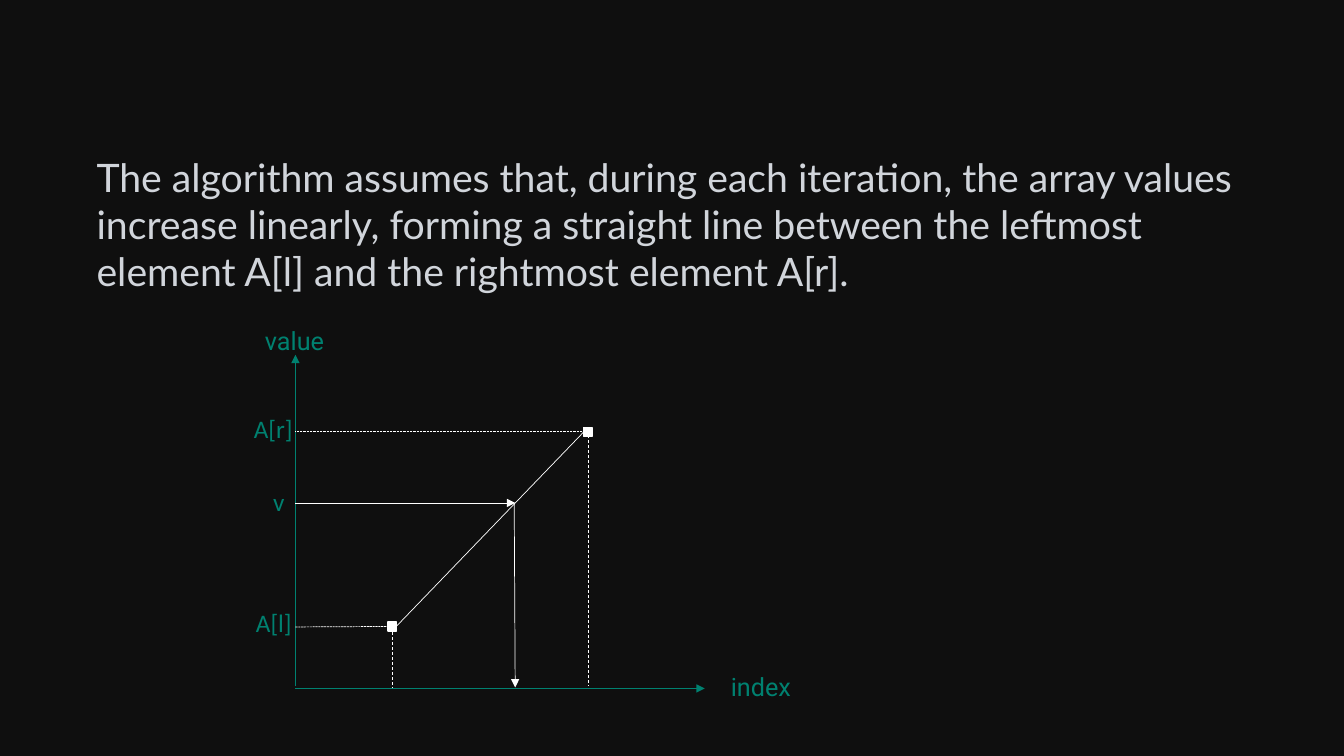
from dataclasses import dataclass

from lxml.etree import SubElement
from pptx import Presentation
from pptx.dml.color import RGBColor
from pptx.enum.dml import MSO_LINE
from pptx.enum.shapes import MSO_CONNECTOR, MSO_SHAPE
from pptx.oxml.ns import qn
from pptx.util import Inches, Pt


@dataclass(frozen=True)
class Theme:
    """Colours, fonts and sizes of the slide."""
    background: RGBColor = RGBColor(0x0F, 0x0F, 0x0F)
    body: RGBColor = RGBColor(0xD1, 0xD5, 0xDB)
    axis: RGBColor = RGBColor(0x00, 0x81, 0x70)
    plot: RGBColor = RGBColor(0xFF, 0xFF, 0xFF)
    body_font: str = "Lato"
    axis_font: str = "Roboto"
    tick_font: str = "Calibri"
    body_size: Pt = Pt(28)
    label_size: Pt = Pt(18)
    line_width: Pt = Pt(0.5)
    marker_width: Pt = Pt(1)


THEME = Theme()
AXIS_X, AXIS_Y = 2.93, 6.83
STATEMENT = (
    "The algorithm assumes that, during each iteration, the array values "
    "increase linearly, forming a straight line between the leftmost "
    "element A[l] and the rightmost element A[r]."
)


def add_text(s, text, box, font, size, color):
    """Add a wrapped text box at box (left, top, width, height)."""
    tf = s.shapes.add_textbox(*map(Inches, box)).text_frame
    tf.word_wrap = True
    tf.text = text
    r = tf.paragraphs[0].runs[0]
    r.font.name = font
    r.font.size = size
    r.font.color.rgb = color


def add_line(s, start, end, color=THEME.plot, dash=None, arrow=False):
    """Add a thin straight connector, optionally dashed or with an arrowhead."""
    line = s.shapes.add_connector(MSO_CONNECTOR.STRAIGHT, *map(Inches, start + end))
    line.line.color.rgb = color
    line.line.width = THEME.line_width
    if dash:
        line.line.dash_style = dash
    if arrow:
        SubElement(line.line._get_or_add_ln(), qn("a:tailEnd"), type="triangle")
    SubElement(line._element.spPr, qn("a:effectLst"))
    return line


def add_marker(s, left, top):
    """Add a small square that marks an end point of the array segment."""
    sp = s.shapes.add_shape(MSO_SHAPE.RECTANGLE, *map(Inches, (left, top, 0.08, 0.09)))
    sp.shadow.inherit = False
    sp.fill.solid()
    sp.fill.fore_color.rgb = THEME.plot
    sp.line.color.rgb = THEME.plot
    sp.line.width = THEME.marker_width
    return sp


def add_axes(s):
    """Draw both axes with their names."""
    add_line(s, (AXIS_X, 6.81), (AXIS_X, 3.52), THEME.axis, arrow=True)
    add_line(s, (AXIS_X, AXIS_Y), (6.99, AXIS_Y), THEME.axis, arrow=True)
    for name, left, top in (("index", 7.15, 6.61), ("value", 2.53, 3.18)):
        add_text(s, name, (left, top, 0.87, 0.4),
                 THEME.axis_font, THEME.label_size, THEME.axis)
    for name, left, top in (("A[r]", 2.42, 4.05), ("v", 2.61, 4.78), ("A[l]", 2.44, 5.98)):
        add_text(s, name, (left, top, 0.65, 0.4),
                 THEME.tick_font, THEME.label_size, THEME.axis)


def add_interpolation(s):
    """Draw the segment between the end points and the lookup of v."""
    add_line(s, (AXIS_X, 4.28), (5.83, 4.28), dash=MSO_LINE.ROUND_DOT)
    add_line(s, (5.84, 4.27), (5.84, 6.81), dash=MSO_LINE.DASH)
    right = add_marker(s, 5.79, 4.24)
    left = add_marker(s, 3.85, 6.17)
    guide = add_line(s, (AXIS_X, 6.22), (3.85, 6.22), dash=MSO_LINE.SQUARE_DOT)
    guide.end_connect(left, 1)
    add_line(s, (3.89, 6.22), (3.89, AXIS_Y), dash=MSO_LINE.DASH)
    add_line(s, (AXIS_X, 4.99), (5.11, 4.99), arrow=True)
    add_line(s, (5.1, 4.99), (5.11, 6.82), arrow=True)
    segment = add_line(s, (3.93, 6.22), (5.79, 4.28))
    segment.begin_connect(left, 3)
    segment.end_connect(right, 1)


def main():
    """Build the slide and save it."""
    prs = Presentation()
    prs.slide_width, prs.slide_height = Inches(13.33), Inches(7.5)
    s = prs.slides.add_slide(prs.slide_layouts[6])
    s.background.fill.solid()
    s.background.fill.fore_color.rgb = THEME.background
    add_text(s, STATEMENT, (0.86, 1.47, 11.61, 1.51),
             THEME.body_font, THEME.body_size, THEME.body)
    add_axes(s)
    add_interpolation(s)
    prs.save("out.pptx")


if __name__ == "__main__":
    main()
